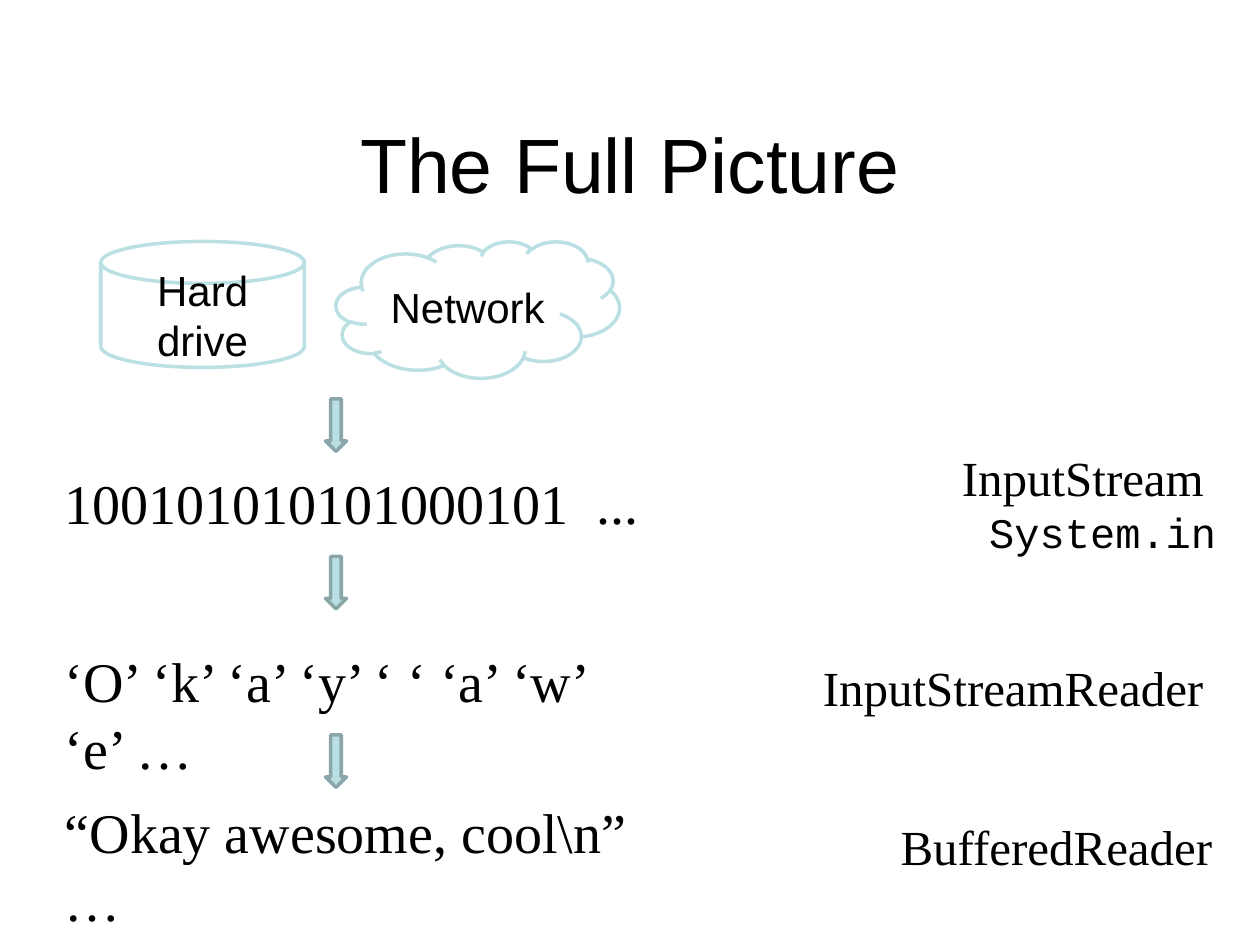
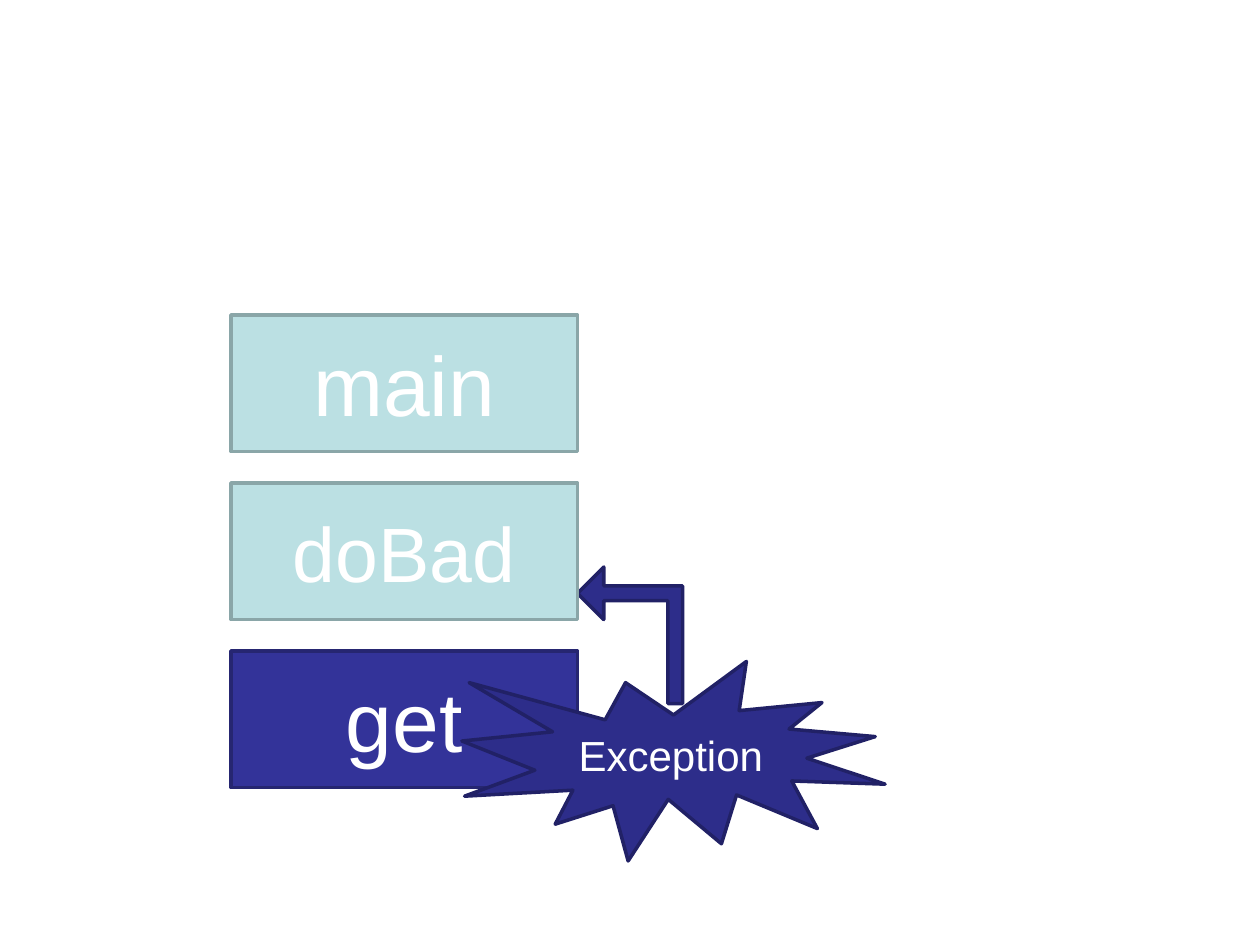
from pptx import Presentation
from pptx import util as u
from pptx.dml.color import RGBColor
from pptx.enum import shapes, text

HUE = {
    "ink": "000000", "paper": "FFFFFF",
    "pale": "BBE0E3", "edge": "8AA6A8",
    "navy": "333399", "rim": "262671",
    "deep": "2D2D8A", "dark": "212166",
}
SANS, SERIF, MONO = "Arial", "Times New Roman", "Courier New"
KIND = shapes.MSO_SHAPE
LEFT, MID, RIGHT = text.PP_ALIGN.LEFT, text.PP_ALIGN.CENTER, text.PP_ALIGN.RIGHT

# Lengths are in cells; twelve cells make an inch
CELL = 1 / 12

# Content of the stream slide
TITLE = "The Full Picture"
SOURCES = [  # kind, words, left, top, width, height
    (KIND.FLOWCHART_MAGNETIC_DISK, "Hard drive", 9.6, 23, 19.4, 12),
    (KIND.CLOUD, "Network", 32, 23, 27, 13),
]
STAGES = [  # words, top, width
    ("100101010101000101  ...", 44, 59.4),
    ("‘O’ ‘k’ ‘a’ ‘y’ ‘ ‘ ‘a’ ‘w’ ‘e’ …", 61, 58.7),
    ("“Okay awesome, cool\\n”  …", 75.4, 62.6),
]
READERS = [  # lines of (words, size, font), top, width, alignment
    ([("InputStream ", 28, SERIF), ("System.in", 24, MONO)], 42, 37, RIGHT),
    ([("InputStreamReader", 28, SERIF)], 62, 39.8, LEFT),
    ([("BufferedReader", 28, SERIF)], 77.2, 32.4, LEFT),
]
ARROWS = [38, 53, 70]  # tops
MARGIN, EDGE = 5, 117  # left of the stages, right of the readers

# Content of the call stack slide, bottom call first
CALLS = [  # words, size, fill, line
    ("get", 48, "navy", "rim"),
    ("doBad", 44, "pale", "edge"),
    ("main", 48, "pale", "edge"),
]
FIRST, STEP = 62, 16  # top of the lowest call, rise to the next


def rgb(name):
    return RGBColor.from_string(HUE[name])


def spot(*cells):
    return [u.Inches(c * CELL) for c in cells]


def write(frame, lines, hue, align, anchor):
    """Put in one paragraph for each (words, size, font)."""
    frame.word_wrap = True
    frame.vertical_anchor = anchor
    for i, (words, size, font) in enumerate(lines):
        para = frame.add_paragraph() if i else frame.paragraphs[0]
        para.alignment = align
        run = para.add_run()
        run.text = words
        run.font.size, run.font.name = u.Pt(size), font
        run.font.color.rgb = rgb(hue)


def label(slide, lines, at, align=LEFT, anchor=text.MSO_ANCHOR.TOP):
    box = slide.shapes.add_textbox(*spot(*at))
    write(box.text_frame, lines, "ink", align, anchor)


def block(slide, kind, at, fill, line, words="", size=24, hue="paper"):
    form = slide.shapes.add_shape(kind, *spot(*at))
    form.shadow.inherit = False
    form.fill.solid()
    form.fill.fore_color.rgb = rgb(fill)
    form.line.color.rgb = rgb(line)
    form.line.width = u.Pt(2)
    if words:
        write(form.text_frame, [(words, size, SANS)], hue, MID,
              text.MSO_ANCHOR.MIDDLE)
    return form


def streams(slide):
    label(slide, [(TITLE, 44, SANS)], (9, 8, 102, 15), MID,
          text.MSO_ANCHOR.MIDDLE)
    for words, top, wide in STAGES:
        label(slide, [(words, 32, SERIF)], (MARGIN, top, wide, 7.7))
    # Disk, readers at the right edge, arrows, then the cloud
    disk, cloud = SOURCES
    for kind, words, *at in (disk, cloud):
        block(slide, kind, at, "paper", "pale", words, hue="ink")
    for lines, top, wide, align in READERS:
        label(slide, lines, (EDGE - wide, top, wide, 6 * len(lines)), align)
    for top in ARROWS:
        block(slide, KIND.DOWN_ARROW, (31, top, 2, 5), "pale", "edge")


def stack(slide):
    # Arrow from the exception back to the caller
    back = block(slide, KIND.BENT_UP_ARROW, (53.5, 55.5, 13, 10), "deep", "dark")
    back.rotation = 270
    for i, share in enumerate((0.14, 0.25, 0.25)):
        back.adjustments[i] = share
    # Calls, stacked upwards
    for i, (words, size, fill, line) in enumerate(CALLS):
        block(slide, KIND.RECTANGLE, (22, FIRST - i * STEP, 33, 13),
              fill, line, words, size)
    block(slide, KIND.EXPLOSION1, (44, 63, 40.3, 19), "deep", "dark", "Exception")


def main():
    deck = Presentation()
    deck.slide_width, deck.slide_height = u.Inches(10), u.Inches(7.5)
    for draw in (streams, stack):
        draw(deck.slides.add_slide(deck.slide_layouts[6]))
    deck.save("out.pptx")


if __name__ == "__main__":
    main()
